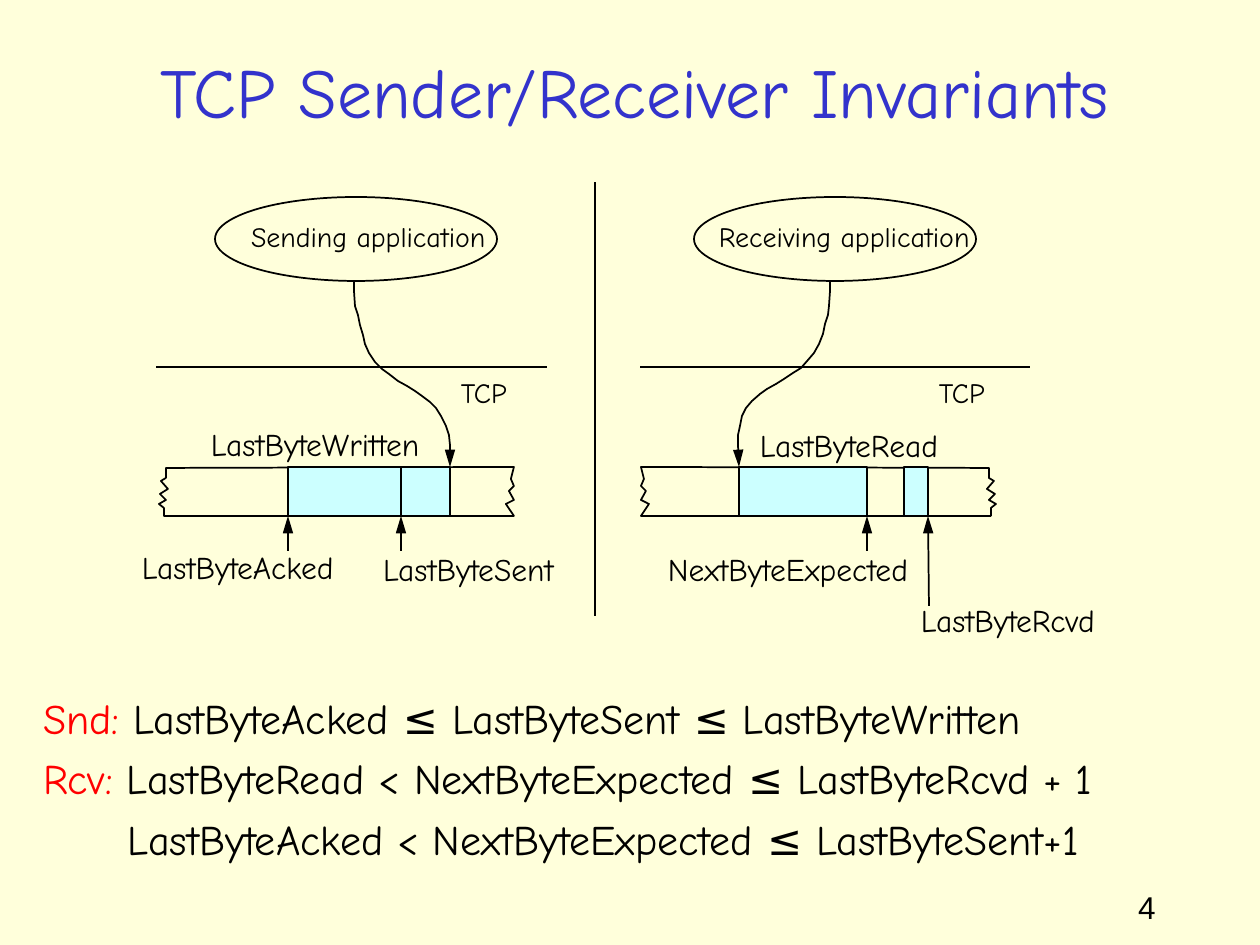
from pptx import Presentation, util as u
from pptx.dml.color import RGBColor
from pptx.enum import shapes, text
from pptx.oxml.ns import qn
from lxml import etree

PX = 914400 / 126
BLACK = RGBColor(0x00, 0x00, 0x00)
BLUE = RGBColor(0x33, 0x33, 0xCC)
RED = RGBColor(0xFF, 0x00, 0x00)
CYAN = RGBColor(0xCC, 0xFF, 0xFF)
CREAM = RGBColor(0xFF, 0xFF, 0xDB)
HAND = "Comic Neue"

deck = Presentation()
deck.slide_width, deck.slide_height = u.Inches(10), u.Inches(7.5)
page = deck.slides.add_slide(deck.slide_layouts[6])
page.background.fill.solid()
page.background.fill.fore_color.rgb = CREAM


def ink(item, arrow=False):
    """Thin black line without shadow, with an arrowhead at its end if asked."""
    item.line.color.rgb = BLACK
    item.line.width = u.Pt(1)
    props = item._element.spPr
    if props.find(qn("a:effectLst")) is None:
        etree.SubElement(props, qn("a:effectLst"))
    if arrow:
        etree.SubElement(item.line._get_or_add_ln(), qn("a:tailEnd"),
                         type="triangle", w="med", len="lg")


def write(rect, lines, size, font=HAND, margins=(0, 0), wrap=False):
    """Text box; each line is a list of (wording, colour) runs."""
    box = page.shapes.add_textbox(*[round(v * PX) for v in rect])
    frame = box.text_frame
    frame.word_wrap = wrap
    frame.margin_left = frame.margin_right = round(margins[0] * PX)
    frame.margin_top = frame.margin_bottom = round(margins[1] * PX)
    for number, runs in enumerate(lines):
        para = frame.add_paragraph() if number else frame.paragraphs[0]
        for wording, colour in runs:
            span = para.add_run()
            span.text = wording
            span.font.name = font
            span.font.size = u.Pt(size)
            span.font.color.rgb = colour
    return frame


# Title
title = write((56, 31, 1158, 118), [[("TCP Sender/Receiver Invariants", BLUE)]],
              40, margins=(13, 6), wrap=True)
title.vertical_anchor = text.MSO_ANCHOR.MIDDLE
title.paragraphs[0].alignment = text.PP_ALIGN.CENTER

# Buffers with torn ends; the receiver's mirrors the sender's
sender_buffer = [
    (514, 467), (166, 468), (166, 478), (161, 481), (168, 489), (160, 494),
    (166, 500), (159, 504), (164, 508), (164, 516), (514, 516), (506, 504),
    (514, 500), (509, 491), (514, 486), (511, 479), (514, 467)]
receiver_buffer = [(1155 - x, y) for x, y in sender_buffer]

# Curves from the applications to the buffers
sender_curve = [
    (354, 281), (354, 291), (355, 306), (358, 315), (360, 325), (363, 335),
    (365, 344), (369, 353), (375, 362), (382, 369), (389, 374), (398, 381),
    (407, 386), (415, 391), (422, 396), (430, 402), (436, 408), (441, 416),
    (446, 426), (449, 435), (450, 445), (450, 467)]
receiver_curve = [
    (830, 281), (830, 291), (829, 306), (828, 315), (825, 324), (823, 334),
    (819, 344), (814, 353), (808, 360), (801, 368), (793, 373), (784, 379),
    (776, 384), (767, 389), (760, 394), (752, 401), (746, 408), (742, 416),
    (740, 426), (738, 435), (738, 445), (739, 467)]

for points, arrow in ((sender_buffer, False), (receiver_buffer, False),
                      (sender_curve, True), (receiver_curve, True)):
    builder = page.shapes.build_freeform(*points[0], scale=PX)
    builder.add_line_segments(points[1:], close=False)
    outline = builder.convert_to_shape()
    outline.fill.background()
    ink(outline, arrow)

# Filled byte ranges
for left, right in ((288, 450), (739, 867), (904, 928)):
    span_box = page.shapes.add_shape(
        shapes.MSO_SHAPE.RECTANGLE,
        *[round(v * PX) for v in (left, 467, right - left, 49)])
    span_box.fill.solid()
    span_box.fill.fore_color.rgb = CYAN
    ink(span_box)

# Application ovals
for left in (215, 694):
    oval = page.shapes.add_shape(
        shapes.MSO_SHAPE.OVAL, *[round(v * PX) for v in (left, 197, 282, 84)])
    oval.fill.background()
    ink(oval)

# Layer lines, divider, byte mark and pointers: x1, y1, x2, y2, arrow
for *ends, arrow in (
        (547, 367, 156, 367, False), (1030, 367, 640, 367, False),
        (595, 616, 595, 182, False), (401, 516, 401, 467, False),
        (288, 551, 288, 516, True), (401, 551, 401, 516, True),
        (867, 551, 867, 516, True), (929, 606, 928, 516, True)):
    line = page.shapes.add_connector(
        shapes.MSO_CONNECTOR.STRAIGHT, *[round(v * PX) for v in ends])
    ink(line, arrow)

# Diagram labels: left, top, width, size, wording
for left, top, width, size, wording in (
        (251, 220, 246, 16, "Sending application"),
        (719, 220, 262, 16, "Receiving application"),
        (461, 375, 54, 16, "TCP"),
        (939, 375, 54, 16, "TCP"),
        (211, 425, 220, 18, "LastByteWritten"),
        (760, 426, 190, 18, "LastByteRead"),
        (142, 548, 204, 18, "LastByteAcked"),
        (383, 550, 183, 18, "LastByteSent"),
        (668, 550, 252, 18, "NextByteExpected"),
        (921, 601, 186, 18, "LastByteRcvd")):
    write((left, top, width, size * 2), [[(wording, BLACK)]], size)

# Invariants
rules = write((30, 686, 1201, 185), [
    [("Snd:", RED), (" LastByteAcked ≤ LastByteSent ≤ LastByteWritten", BLACK)],
    [("Rcv:", RED), (" LastByteRead < NextByteExpected ≤ LastByteRcvd + 1", BLACK)],
    [("LastByteAcked < NextByteExpected ≤ LastByteSent+1", BLACK)],
], 24, margins=(13, 6), wrap=True)
for para in rules.paragraphs:
    para.space_before = u.Pt(6)
rules.paragraphs[2]._p.get_or_add_pPr().set("marL", str(round(85 * PX)))

# Page number
write((1125, 882, 93, 63), [[("4", BLACK)]], 18, "Arial", (13, 6), True)

deck.save("out.pptx")
